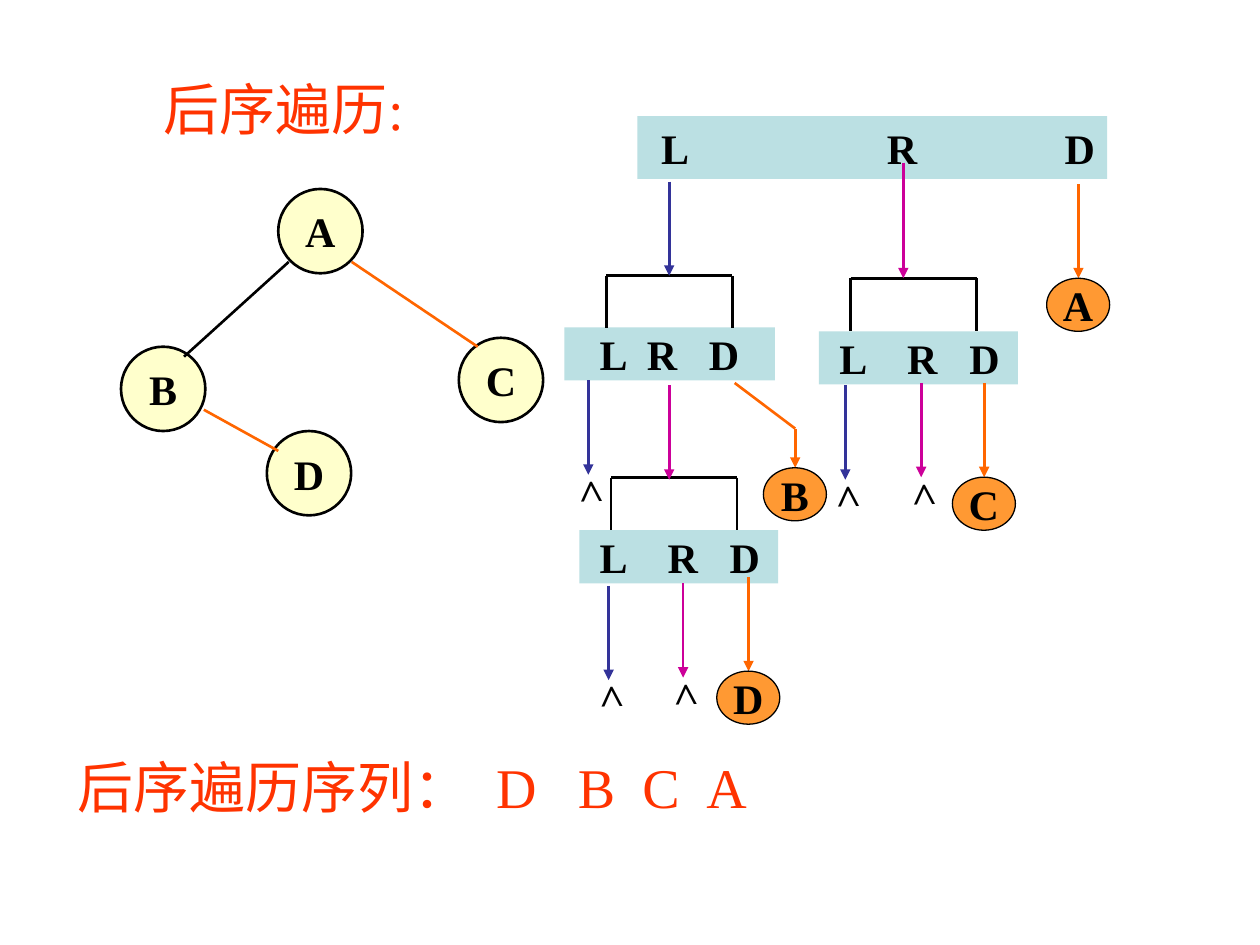
from lxml import etree
from pptx import Presentation
from pptx import util as u
from pptx.dml.color import RGBColor
from pptx.enum import shapes as sh, text as tx
from pptx.oxml.ns import qn

BLACK, BLUE, PINK, ORANGE = "000000", "333399", "CC0099", "FF6600"
CREAM, TEAL, AMBER, RED = "FFFFCC", "BBE0E3", "FF9933", "FF3300"
STEP = 1.9


def color(code):
    return RGBColor.from_string(code)


class Board:
    face = {"name": "Times New Roman", "size": u.Pt(24), "bold": True}
    head = {"name": "Times New Roman", "size": u.Pt(32), "bold": False}

    def __init__(self, slide):
        self.slide = slide

    def letter(self, item, words, font, tint, align, frame, tabs=()):
        body = item.text_frame
        rules = {"auto_size": tx.MSO_AUTO_SIZE.NONE, "word_wrap": True, **frame}
        for key, value in rules.items():
            setattr(body, key, value)
        para = body.paragraphs[0]
        para.text = words
        para.alignment = align
        para.space_before = u.Pt(0)
        if tabs:
            stops = etree.SubElement(para._p.get_or_add_pPr(), qn("a:tabLst"))
            for tab in tabs:
                etree.SubElement(stops, qn("a:tab"), pos=str(u.Cm(tab)), algn="l")
        for run in para.runs:
            for key, value in font.items():
                setattr(run.font, key, value)
            run.font.color.rgb = color(tint)

    def shape(self, kind, box, fill, line=0):
        item = self.slide.shapes.add_shape(kind, *map(u.Cm, box))
        item.shadow.inherit = False
        item.fill.solid()
        item.fill.fore_color.rgb = color(fill)
        if line:
            item.line.color.rgb = color(BLACK)
            item.line.width = u.Pt(line)
        else:
            item.line.fill.background()
        return item

    def oval(self, name, box, fill, line):
        item = self.shape(sh.MSO_SHAPE.OVAL, box, fill, line)
        frame = {"word_wrap": False, "vertical_anchor": tx.MSO_ANCHOR.MIDDLE}
        self.letter(item, name, self.face, BLACK, tx.PP_ALIGN.CENTER, frame)

    def bar(self, box, inset, tabs):
        item = self.shape(sh.MSO_SHAPE.RECTANGLE, box, TEAL)
        frame = {"vertical_anchor": tx.MSO_ANCHOR.MIDDLE, "margin_left": u.Cm(inset),
                 "margin_right": 0, "margin_top": 0, "margin_bottom": 0}
        self.letter(item, "L\tR\tD", self.face, BLACK, tx.PP_ALIGN.LEFT, frame, tabs)

    def line(self, ends, tint, arrow=False):
        item = self.slide.shapes.add_connector(sh.MSO_CONNECTOR.STRAIGHT, *map(u.Cm, ends))
        item.line.color.rgb = color(tint)
        item.line.width = u.Pt(1.5)
        if arrow:
            etree.SubElement(item.line._get_or_add_ln(), qn("a:tailEnd"), type="triangle")
        etree.SubElement(item._element.spPr, qn("a:effectLst"))

    def drop(self, x, y, tint, size=STEP):
        self.line((x, y, x, y + size), tint, True)

    def fork(self, x, y):
        wide, tall = 2.54, 1.06
        self.line((x, y, x + wide, y), BLACK)
        for side in (x, x + wide):
            self.line((side, y, side, y + tall), BLACK)

    def null(self, x, y):
        item = self.slide.shapes.add_textbox(*map(u.Cm, (x - 0.53, y - 0.33, 1.07, 1.27)))
        item.rotation = 268.3
        self.letter(item, ">", self.face, BLACK, tx.PP_ALIGN.LEFT, {})

    def leaf(self, name, x, y, size=STEP):
        self.drop(x, y, ORANGE, size)
        self.oval(name, (x - 0.64, y + size, 1.27, 1.07), AMBER, 0.75)

    def title(self, words, box):
        item = self.slide.shapes.title
        for key, value in zip(("left", "top", "width", "height"), box):
            setattr(item, key, u.Cm(value))
        frame = {"vertical_anchor": tx.MSO_ANCHOR.TOP, "word_wrap": False}
        self.letter(item, words, self.head, RED, tx.PP_ALIGN.LEFT, frame)

    def label(self, words, box, tabs):
        item = self.slide.shapes.add_textbox(*map(u.Cm, box))
        self.letter(item, words, self.head, RED, tx.PP_ALIGN.LEFT, {}, tabs)


def main():
    deck = Presentation()
    deck.slide_width, deck.slide_height = u.Cm(25.4), u.Cm(19.05)
    board = Board(deck.slides.add_slide(deck.slide_layouts[5]))
    board.title("后序遍历:", (3.05, 1.37, 5.61, 1.63))

    for name, x, y in (("A", 5.61, 3.81), ("D", 5.38, 8.69),
                       ("B", 2.44, 6.99), ("C", 9.25, 6.81)):
        board.oval(name, (x, y, 1.7, 1.7), CREAM, 1.5)
    board.line((5.82, 5.28, 3.71, 7.19), BLACK)
    board.line((7.09, 5.28, 9.63, 6.99), ORANGE)
    board.line((4.11, 8.26, 5.61, 9.09), ORANGE)

    board.bar((12.85, 2.34, 9.47, 1.27), 0.48, (4.55, 8.13))
    board.bar((11.38, 6.6, 4.24, 1.07), 0.71, (0.95, 2.2))
    for x, y in ((11.68, 10.69), (16.51, 6.68)):
        board.bar((x, y, 4.01, 1.07), 0.41, (1.37, 2.62))
    for x, y in ((12.22, 5.56), (12.32, 9.63), (17.15, 5.61)):
        board.fork(x, y)

    board.drop(13.49, 3.66, BLUE)
    board.drop(13.49, 7.77, PINK)
    board.drop(18.21, 3.28, PINK, 2.33)
    for x, y, tint in ((11.86, 7.67, BLUE), (12.27, 11.81, BLUE), (17.04, 7.77, BLUE),
                       (13.77, 11.76, PINK), (18.57, 7.72, PINK)):
        board.drop(x, y, tint)
        board.null(x, y + STEP)

    for name, x, y in (("A", 21.74, 3.71), ("D", 15.09, 11.63), ("C", 19.84, 7.72)):
        board.leaf(name, x, y)
    board.line((14.81, 7.72, 16.03, 8.64), ORANGE)
    board.leaf("B", 16.03, 8.64, 0.79)

    board.label("后序遍历序列：\tD\tB\tC\tA", (1.32, 15.04, 14.05, 1.63),
                (8.43, 10.08, 11.38, 12.67))
    deck.save("out.pptx")


if __name__ == "__main__":
    main()
